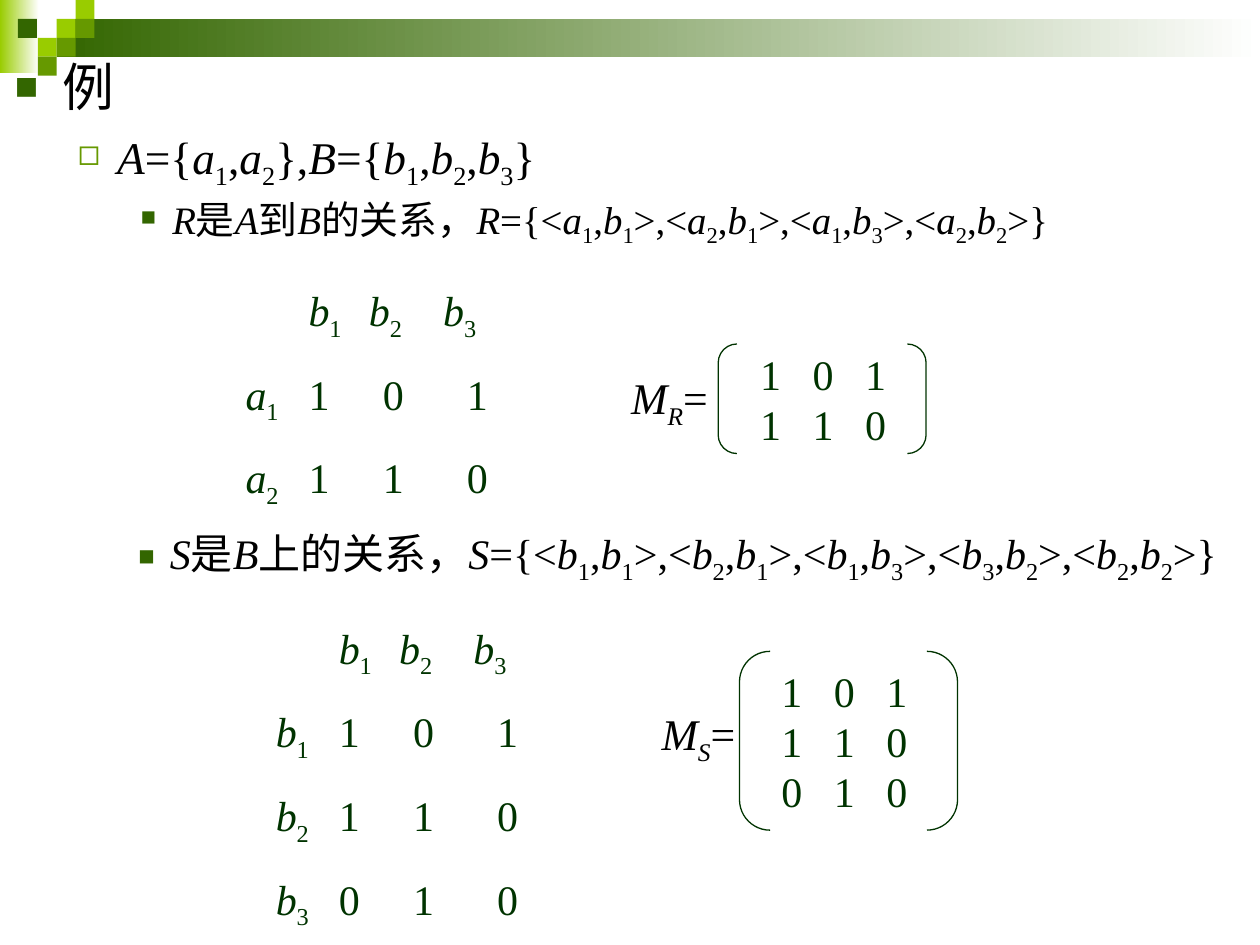
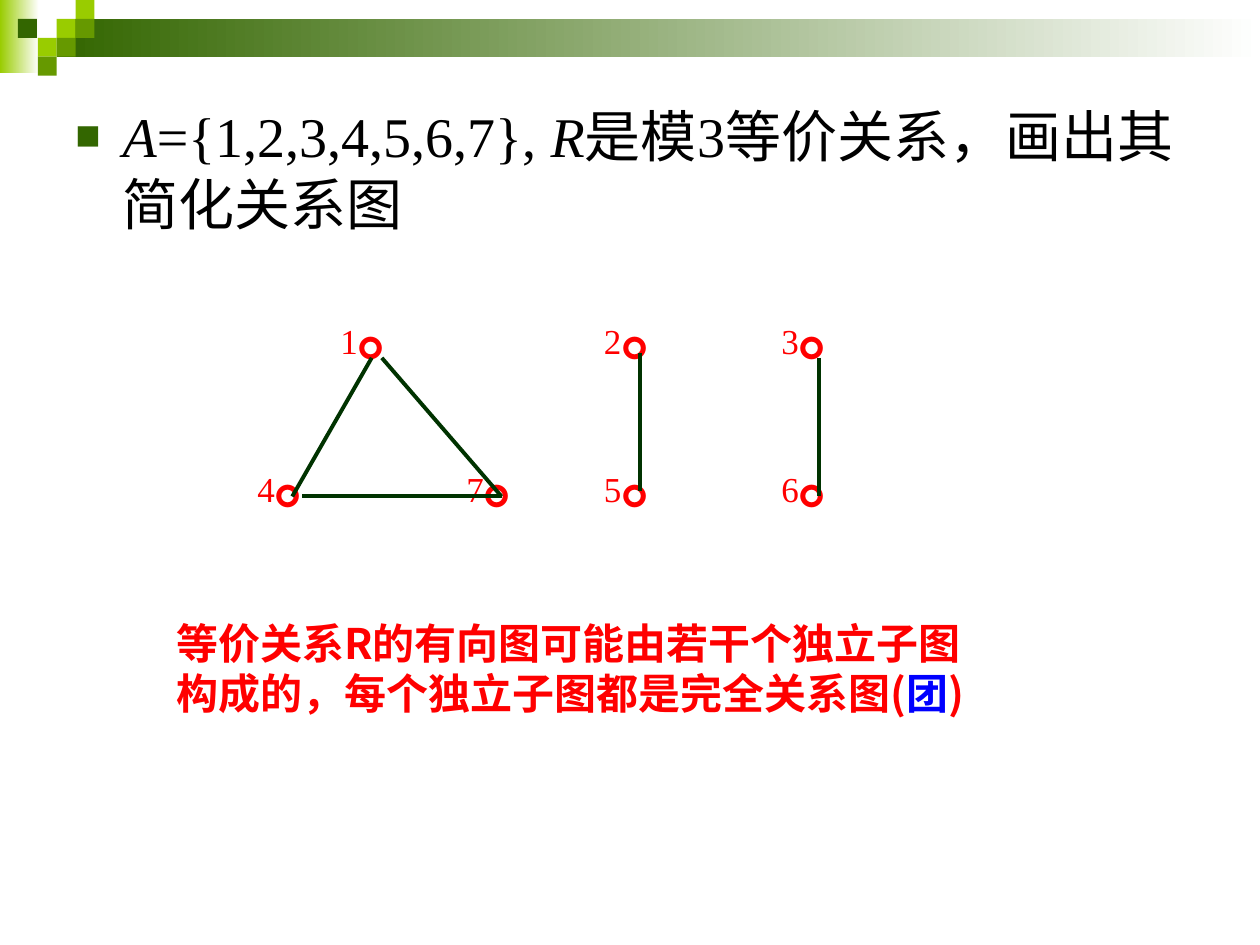
from itertools import groupby

from lxml import etree
from pptx import Presentation
from pptx.dml.color import RGBColor
from pptx.enum import shapes, text
from pptx.oxml import ns
from pptx.util import Pt

COLORS = {
    "lime": "99CC00", "green": "669900", "dark": "336600", "ink": "003300",
    "black": "000000", "red": "FF0000", "blue": "0000FF", "white": "FFFFFF",
}
RGB = {name: RGBColor.from_string(value) for name, value in COLORS.items()}
LATIN, CJK = "Times New Roman", "Noto Sans CJK SC"
# level: left margin, first-line indent, bullet, colour, bullet size in percent
BULLETS = {
    0: (27, -27, "■", "dark", 75),
    1: (58.5, -22.5, "◻", "green", 80),
    2: (90, -18, "■", "dark", 65),
}


def text_frame(slide, left, top, width, height, inset=(7.2, 3.6), wrap=True):
    box = slide.shapes.add_textbox(Pt(left), Pt(top), Pt(width), Pt(height))
    frame = box.text_frame
    frame.word_wrap = wrap
    frame.margin_left = frame.margin_right = Pt(inset[0])
    frame.margin_top = frame.margin_bottom = Pt(inset[1])
    return frame


def write(frame, *pieces, level=None, tabs=(), before=0, spacing=None):
    """Add a paragraph of (text, size, colour, bold) pieces.

    Latin letters are italic unless bold; "_" makes the next character a subscript.
    """
    paragraph = frame.paragraphs[0]
    if paragraph.runs:
        paragraph = frame.add_paragraph()
        paragraph.space_before = Pt(before)
    properties = paragraph._p.get_or_add_pPr()
    if level is not None:
        margin, indent, mark, mark_color, percent = BULLETS[level]
        properties.set("marL", str(Pt(margin)))
        properties.set("indent", str(Pt(indent)))
        color = etree.SubElement(properties, ns.qn("a:buClr"))
        etree.SubElement(color, ns.qn("a:srgbClr"), val=COLORS[mark_color])
        etree.SubElement(properties, ns.qn("a:buSzPct"), val=str(percent * 1000))
        etree.SubElement(properties, ns.qn("a:buFont"), typeface=LATIN)
        etree.SubElement(properties, ns.qn("a:buChar"), char=mark)
    if tabs:
        stops = etree.SubElement(properties, ns.qn("a:tabLst"))
        for stop in tabs:
            etree.SubElement(stops, ns.qn("a:tab"), pos=str(Pt(stop)), algn="l")
    if spacing:
        paragraph.line_spacing = spacing

    for source, size, ink, bold in pieces:
        styled = [
            (char, char.isascii() and char.isalpha() and not bold,
             i > 0 and source[i - 1] == "_")
            for i, char in enumerate(source) if char != "_"
        ]
        for (italic, lowered), chars in groupby(styled, key=lambda c: c[1:]):
            run = paragraph.add_run()
            run.text = "".join(c[0] for c in chars)
            font = run.font
            font.size, font.bold, font.italic = Pt(size), bold, italic
            font.color.rgb = RGB[ink]
            font.name = CJK if bold else LATIN
            run_properties = run._r.get_or_add_rPr()
            etree.SubElement(run_properties, ns.qn("a:ea"), typeface=CJK)
            if lowered:
                run_properties.set("baseline", "-25000")
    return paragraph


deck = Presentation()
deck.slide_width, deck.slide_height = Pt(720), Pt(540)
matrix_slide, graph_slide = [deck.slides.add_slide(deck.slide_layouts[6]) for _ in range(2)]

# Shared header: two fading bands and a checkered corner
TILE = 10.8
bands = [(0, 0, 22.3, 41.8, "lime"), (32.4, TILE, 687.6, 2 * TILE, "dark")]
tiles = [(3, 1, "lime"), (4, 0, "lime"), (4, 1, "green"), (2, 2, "lime"),
         (0.95, 1, "dark"), (3, 2, "green"), (2, 3, "green")]
corner = [(column * TILE, row * TILE, TILE, TILE, color) for column, row, color in tiles]
for slide in (matrix_slide, graph_slide):
    slide.background.fill.solid()
    slide.background.fill.fore_color.rgb = RGB["white"]
    for left, top, width, height, color in bands + corner:
        block = slide.shapes.add_shape(
            shapes.MSO_SHAPE.RECTANGLE, Pt(left), Pt(top), Pt(width), Pt(height))
        block.shadow.inherit = False
        block.line.fill.background()
        if (left, top, width, height, color) in bands:
            block.fill.gradient()
            block.fill.gradient_angle = 0
            for stop, stop_color in zip(block.fill.gradient_stops, (color, "white")):
                stop.color.rgb = RGB[stop_color]
        else:
            block.fill.solid()
            block.fill.fore_color.rgb = RGB[color]

# Slide 1: relations and their matrices
example = text_frame(matrix_slide, 1.4, 31.7, 648, 141.8)
example_lines = [
    ("例", 29.6, 0),
    ("A={a_1,a_2},B={b_1,b_2,b_3}", 25.9, 7),
    ("R是A到B的关系，R={<a_1,b_1>,<a_2,b_1>,<a_1,b_3>,<a_2,b_2>}", 22.2, 6),
]
for level, (line, size, before) in enumerate(example_lines):
    write(example, (line, size, "black", False), level=level, before=before, spacing=0.9)

relation_s = text_frame(matrix_slide, 0, 298.1, 720, 51.1)
write(relation_s, ("S是B上的关系，S={<b_1,b_1>,<b_2,b_1>,<b_1,b_3>,<b_3,b_2>,<b_2,b_2>}",
                   24, "black", False), level=2)

HEADER_TABS, ROW_TABS, MATRIX_TABS = (36, 70.5, 113), (36, 78.5, 126.5), (30, 60)
ROUNDING = 0.171
# name, element letter, matrix rows, grid position, label box, bracket box
relations = [
    ("R", "a", ["101", "110"], (133.2, 159.1, 135.4), (360.7, 211.7, 46.8),
     (410.4, 196.6, 118.8, 62.6)),
    ("S", "b", ["101", "110", "010"], (150.5, 352.1, 183.6), (378, 403.9, 44.6),
     (422.6, 372.2, 124.6, 102.2)),
]
for name, element, rows, (left, top, height), label_box, bracket_box in relations:
    grid = text_frame(matrix_slide, left, top, 210.2, height)
    write(grid, ("\tb_1\tb_2\tb_3", 24, "ink", False), tabs=HEADER_TABS)
    for number, row in enumerate(rows, 1):
        write(grid, (f"{element}_{number}\t" + "\t".join(row), 24, "ink", False),
              tabs=ROW_TABS, before=15)

    label = text_frame(matrix_slide, *label_box, 33.8, inset=(0, 0), wrap=False)
    write(label, (f"M_{name}=", 25, "black", False))

    bracket = matrix_slide.shapes.add_shape(
        shapes.MSO_SHAPE.DOUBLE_BRACKET, *map(Pt, bracket_box))
    bracket.adjustments[0] = ROUNDING
    bracket.shadow.inherit = False
    bracket.fill.background()
    bracket.line.color.rgb = RGB["ink"]
    bracket.line.width = Pt(0.75)
    matrix = bracket.text_frame
    matrix.word_wrap = True
    matrix.vertical_anchor = text.MSO_ANCHOR.MIDDLE
    matrix.margin_left = Pt(24 - 0.05 * bracket_box[3])
    matrix.margin_right = matrix.margin_top = matrix.margin_bottom = 0
    for row in rows:
        entries = write(matrix, ("\t".join(row), 24, "ink", False), tabs=MATRIX_TABS)
        entries.alignment = text.PP_ALIGN.LEFT

# Slide 2: simplified graph of an equivalence relation
task = text_frame(graph_slide, 36, 54.7, 648, 90.7)
write(task, ("A={1,2,3,4,5,6,7}, R是模3等价关系，画出其简化关系图", 32, "black", False), level=0)

UPPER, LOWER = 159.1, 243.4
nodes = [("2", 335.5, UPPER), ("5", 335.5, LOWER), ("1", 185, UPPER), ("4", 137.5, LOWER),
         ("7", 257, LOWER), ("3", 437, UPPER), ("6", 437, LOWER)]
for number, left, top in nodes:
    node = text_frame(graph_slide, left, top, 69.1, 55.4, wrap=False)
    node.vertical_anchor = text.MSO_ANCHOR.MIDDLE
    caption = write(node, (number, 20, "red", False), ("。", 40, "red", True))
    caption.alignment = text.PP_ALIGN.CENTER

edges = [(212.4, 204.5, 167, 283.7), (218.2, 204.5, 286.6, 283.7), (172.8, 283.7, 286.6, 283.7),
         (365.8, 201.6, 365.8, 280.8), (468, 204.5, 468, 283.7)]
for ends in edges:
    edge = graph_slide.shapes.add_connector(shapes.MSO_CONNECTOR.STRAIGHT, *map(Pt, ends))
    edge.line.color.rgb = RGB["ink"]
    edge.line.width = Pt(2.25)
    etree.SubElement(edge._element.spPr, ns.qn("a:effectLst"))

conclusion = text_frame(graph_slide, 93.6, 349.2, 481.7, 93.6)
write(conclusion,
      ("等价关系R的有向图可能由若干个独立子图构成的，每个独立子图都是完全关系图(", 24, "red", True),
      ("团", 24, "blue", True), (")", 24, "red", True))

deck.save("out.pptx")
